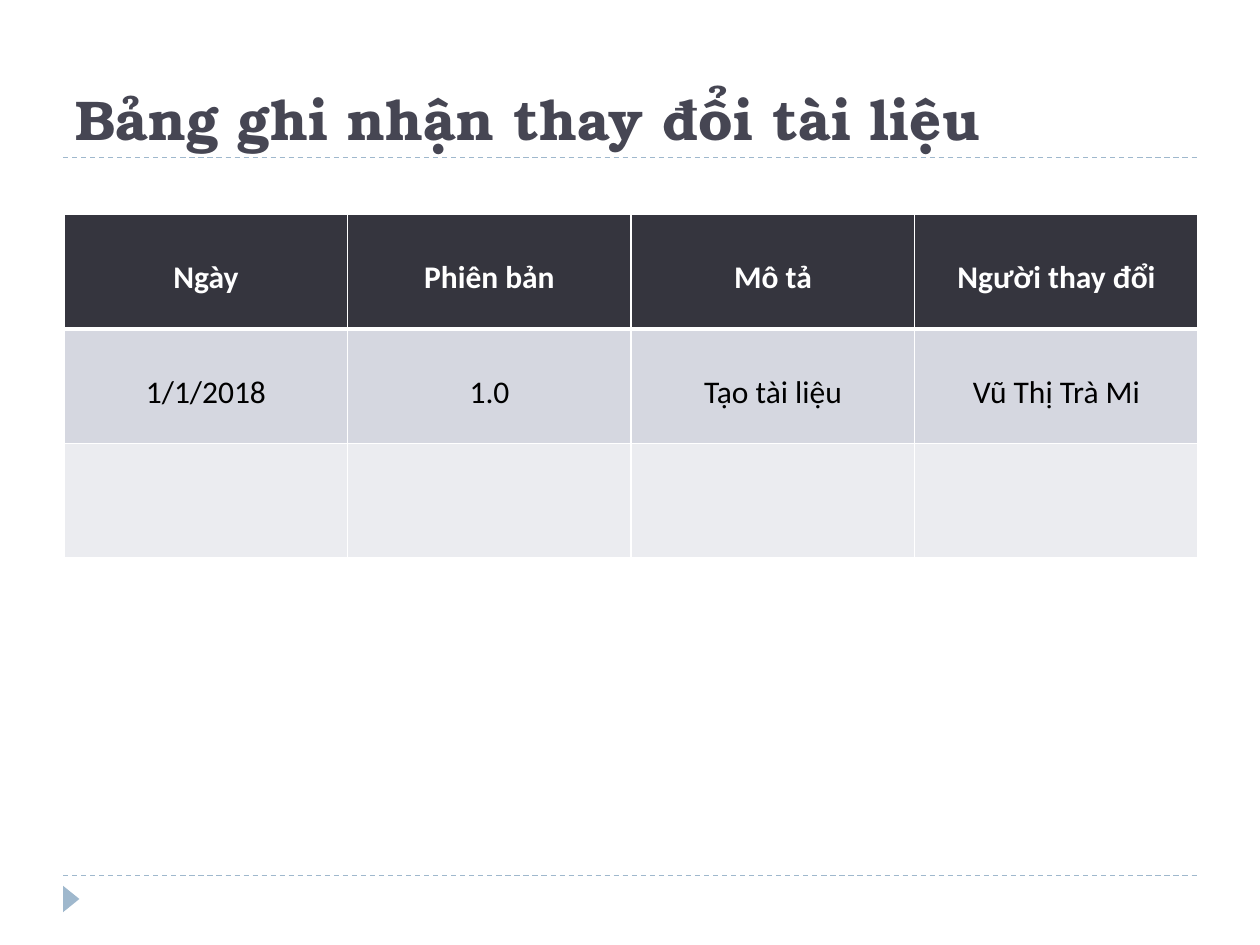
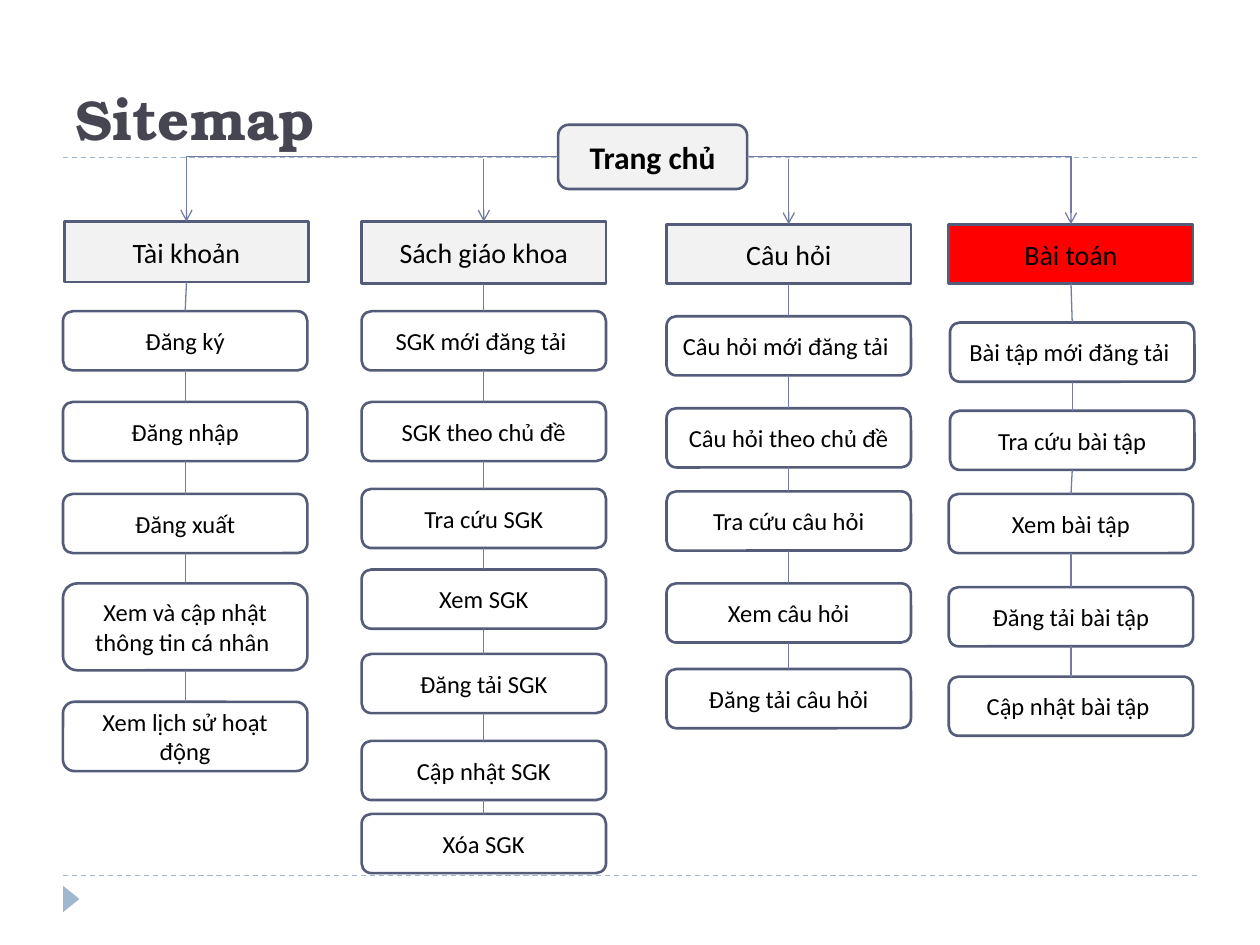
"""Builds a document change log slide and a sitemap slide."""
from lxml import etree
from pptx import Presentation
from pptx.dml.color import RGBColor
from pptx.enum.dml import MSO_LINE
from pptx.enum.shapes import MSO_CONNECTOR, MSO_SHAPE
from pptx.enum.text import MSO_ANCHOR, PP_ALIGN
from pptx.oxml.ns import qn
from pptx.util import Inches, Pt

STRAIGHT, ELBOW = MSO_CONNECTOR.STRAIGHT, MSO_CONNECTOR.ELBOW
RECT, ROUND, TRIANGLE = MSO_SHAPE.RECTANGLE, MSO_SHAPE.ROUNDED_RECTANGLE, MSO_SHAPE.ISOSCELES_TRIANGLE
LEFT, CENTER = PP_ALIGN.LEFT, PP_ALIGN.CENTER
TOP, MIDDLE, BOTTOM = MSO_ANCHOR.TOP, MSO_ANCHOR.MIDDLE, MSO_ANCHOR.BOTTOM
DASH = MSO_LINE.DASH
TITLE_FONT, BODY_FONT = "TeX Gyre Bonum", "Calibri"
COLORS = {
    "title": "464653", "rule": "9FB8CD", "border": "545C79", "link": "727CA3",
    "header": "35353E", "band1": "D5D7E0", "band2": "EBECF0",
    "section": "F2F2F2", "alert": "FF0000", "white": "FFFFFF", "black": "000000",
}
RGB = {name: RGBColor.from_string(value) for name, value in COLORS.items()}


def write_text(tf, text, size=14, color="black", bold=False, font=BODY_FONT,
               align=CENTER, anchor=MIDDLE, spacing=None):
    tf.word_wrap = True
    tf.vertical_anchor = anchor
    p = tf.paragraphs[0]
    p.alignment = align
    p.line_spacing = spacing
    r = p.add_run()
    r.text = text
    r.font.name, r.font.size, r.font.bold = font, Pt(size), bold
    r.font.color.rgb = RGB[color]


def add_line(s, x1, y1, x2, y2, color="link", kind=STRAIGHT, arrow=False):
    line = s.shapes.add_connector(kind, Inches(x1), Inches(y1), Inches(x2), Inches(y2))
    line.line.color.rgb = RGB[color]
    line.line.width = Pt(0.75)
    if arrow:
        etree.SubElement(line.line._get_or_add_ln(), qn("a:tailEnd"), type="arrow")
    etree.SubElement(line._element.spPr, qn("a:effectLst"))
    return line


prs = Presentation()
prs.slide_width, prs.slide_height = Inches(10), Inches(7.5)

slides = []
for title in ["Bảng ghi nhận thay đổi tài liệu", "Sitemap"]:
    s = prs.slides.add_slide(prs.slide_layouts[6])
    for y in (6.95, 1.25):
        add_line(s, 0.5, y, 9.5, y, color="rule").line.dash_style = DASH
    marker = s.shapes.add_shape(TRIANGLE, Inches(0.46), Inches(7.07), Inches(0.21), Inches(0.13))
    marker.rotation = 90
    marker.shadow.inherit = False
    marker.fill.solid()
    marker.fill.fore_color.rgb = RGB["rule"]
    marker.line.fill.background()
    box = s.shapes.add_textbox(Inches(0.5), Inches(0.17), Inches(9), Inches(1.08))
    write_text(box.text_frame, title, size=32, color="title", bold=True,
               font=TITLE_FONT, align=LEFT, anchor=BOTTOM)
    slides.append(s)
log_slide, map_slide = slides

log_rows = [
    ["Ngày", "Phiên bản", "Mô tả", "Người thay đổi"],
    ["1/1/2018", "1.0", "Tạo tài liệu", "Vũ Thị Trà Mi"],
    [""] * 4,
]
row_fills = ["header", "band1", "band2"]
table = log_slide.shapes.add_table(3, 4, Inches(0.51), Inches(1.7), Inches(9), Inches(2.73)).table
table.horz_banding = False
for i, row in enumerate(log_rows):
    edges = {"lnL": 1, "lnR": 1, "lnT": 3 if i == 1 else 1, "lnB": 3 if i == 0 else 1}
    for j, text in enumerate(row):
        cell = table.cell(i, j)
        cell.fill.solid()
        cell.fill.fore_color.rgb = RGB[row_fills[i]]
        if text:
            write_text(cell.text_frame, text, size=18, color="black" if i else "white",
                       bold=i == 0, spacing=2.0, anchor=TOP)
        tc_pr = cell._tc.get_or_add_tcPr()
        for k, (edge, width) in enumerate(edges.items()):
            ln = etree.Element(qn(f"a:{edge}"), w=str(Pt(width)))
            fill = etree.SubElement(ln, qn("a:solidFill"))
            etree.SubElement(fill, qn("a:srgbClr"), val=COLORS["white"])
            tc_pr.insert(k, ln)

BOX_W, BOX_H = 1.94, 0.47
sections = [
    [("Tài khoản", 0.51, 1.76, 0.48),
     ("Đăng ký", 0.5, 2.47, BOX_H), ("Đăng nhập", 0.5, 3.19, BOX_H),
     ("Đăng xuất", 0.5, 3.92, BOX_H),
     ("Xem và cập nhật thông tin cá nhân ", 0.5, 4.63, 0.69),
     ("Xem lịch sử hoạt động", 0.5, 5.57, 0.55)],
    [("Sách giáo khoa", 2.87, 1.76, 0.49),
     ("SGK mới đăng tải ", 2.87, 2.47, BOX_H), ("SGK theo chủ đề", 2.87, 3.19, BOX_H),
     ("Tra cứu SGK", 2.87, 3.88, BOX_H), ("Xem SGK", 2.87, 4.52, BOX_H),
     ("Đăng tải SGK", 2.87, 5.19, BOX_H), ("Cập nhật SGK", 2.87, 5.88, BOX_H),
     ("Xóa SGK", 2.87, 6.46, BOX_H)],
    [("Câu hỏi", 5.29, 1.78, BOX_H),
     ("Câu hỏi mới đăng tải ", 5.29, 2.51, BOX_H), ("Câu hỏi theo chủ đề", 5.29, 3.24, BOX_H),
     ("Tra cứu câu hỏi", 5.29, 3.9, BOX_H), ("Xem câu hỏi", 5.29, 4.63, BOX_H),
     ("Đăng tải câu hỏi", 5.29, 5.31, BOX_H)],
    [("Bài toán", 7.53, 1.78, BOX_H),
     ("Bài tập mới đăng tải ", 7.54, 2.56, BOX_H), ("Tra cứu bài tập", 7.54, 3.26, BOX_H),
     ("Xem bài tập", 7.53, 3.92, BOX_H), ("Đăng tải bài tập", 7.53, 4.66, BOX_H),
     ("Cập nhật bài tập ", 7.53, 5.37, BOX_H)],
]
HOME = ("Trang chủ", 4.43, 0.99, 0.51)

columns = []
for section in [[HOME]] + sections:
    column = []
    for i, (text, x, y, h) in enumerate(section):
        is_home, is_head = section == [HOME], i == 0
        sp = map_slide.shapes.add_shape(RECT if is_head and not is_home else ROUND, Inches(x),
                                        Inches(y), Inches(1.5 if is_home else BOX_W), Inches(h))
        sp.shadow.inherit = False
        sp.fill.solid()
        fill = "alert" if text == "Bài toán" else "section" if is_head else "white"
        sp.fill.fore_color.rgb = RGB[fill]
        sp.line.color.rgb = RGB["border"]
        sp.line.width = Pt(1.5)
        write_text(sp.text_frame, text, size=18 if is_home else 16 if is_head else 14, bold=is_home)
        column.append(sp)
    columns.append(column)
home, columns = columns[0][0], columns[1:]

for column, side in ((columns[3], 3), (columns[0], 1)):
    branch = add_line(map_slide, 0, 0, 1, 1, kind=ELBOW, arrow=True)
    branch.begin_connect(home, side)
    branch.end_connect(column[0], 0)
    branch._element.spPr.find(qn("a:prstGeom")).set("prst", "bentConnector2")
for column, x in ((columns[1], 3.84), (columns[2], 6.26)):
    add_line(map_slide, x, 1.26, x, 1.76, arrow=True).end_connect(column[0], 0)
for column in columns:
    for upper, lower in zip(column, column[1:]):
        link = add_line(map_slide, 0, 0, 1, 1)
        link.begin_connect(upper, 2)
        link.end_connect(lower, 0)

prs.save("out.pptx")
